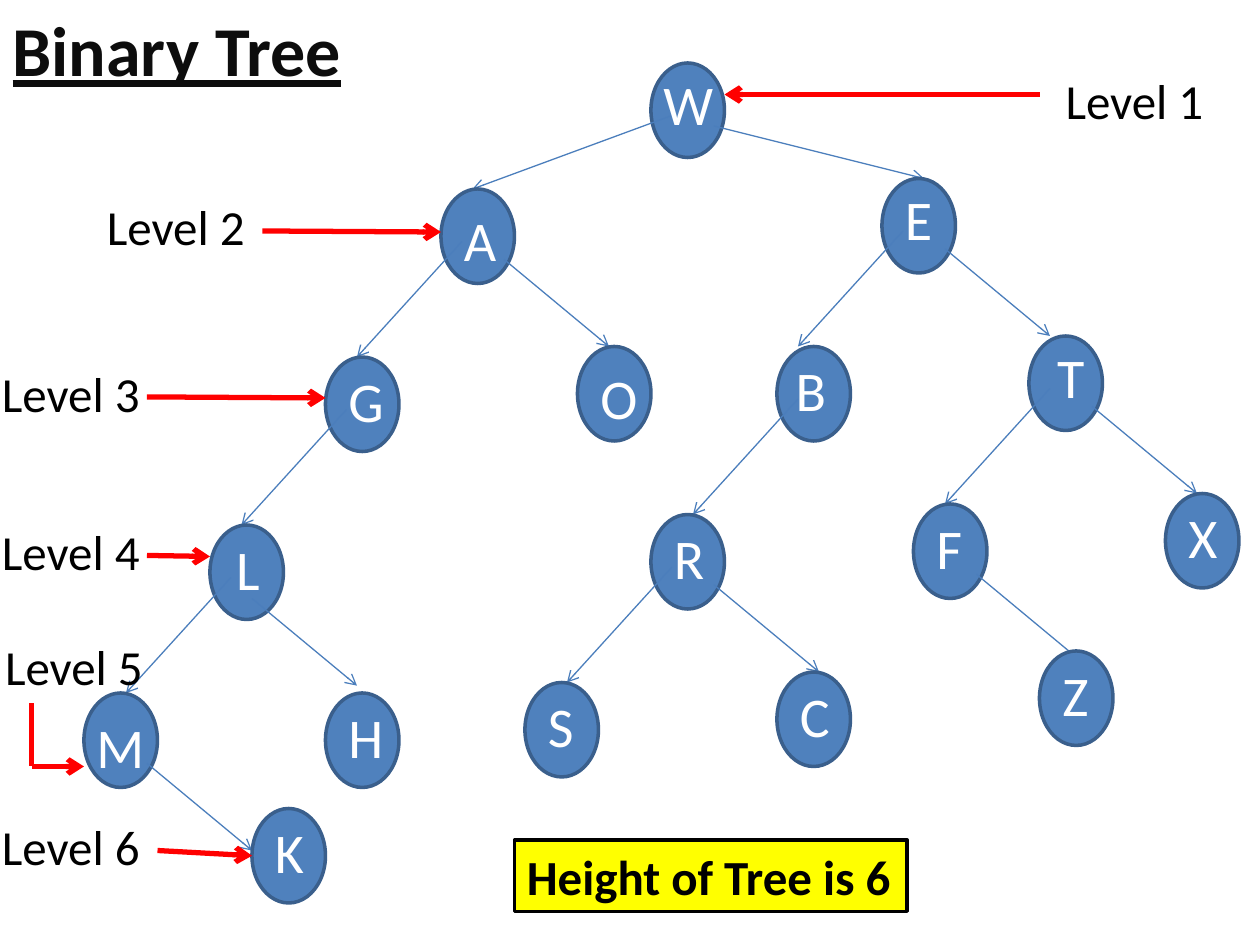
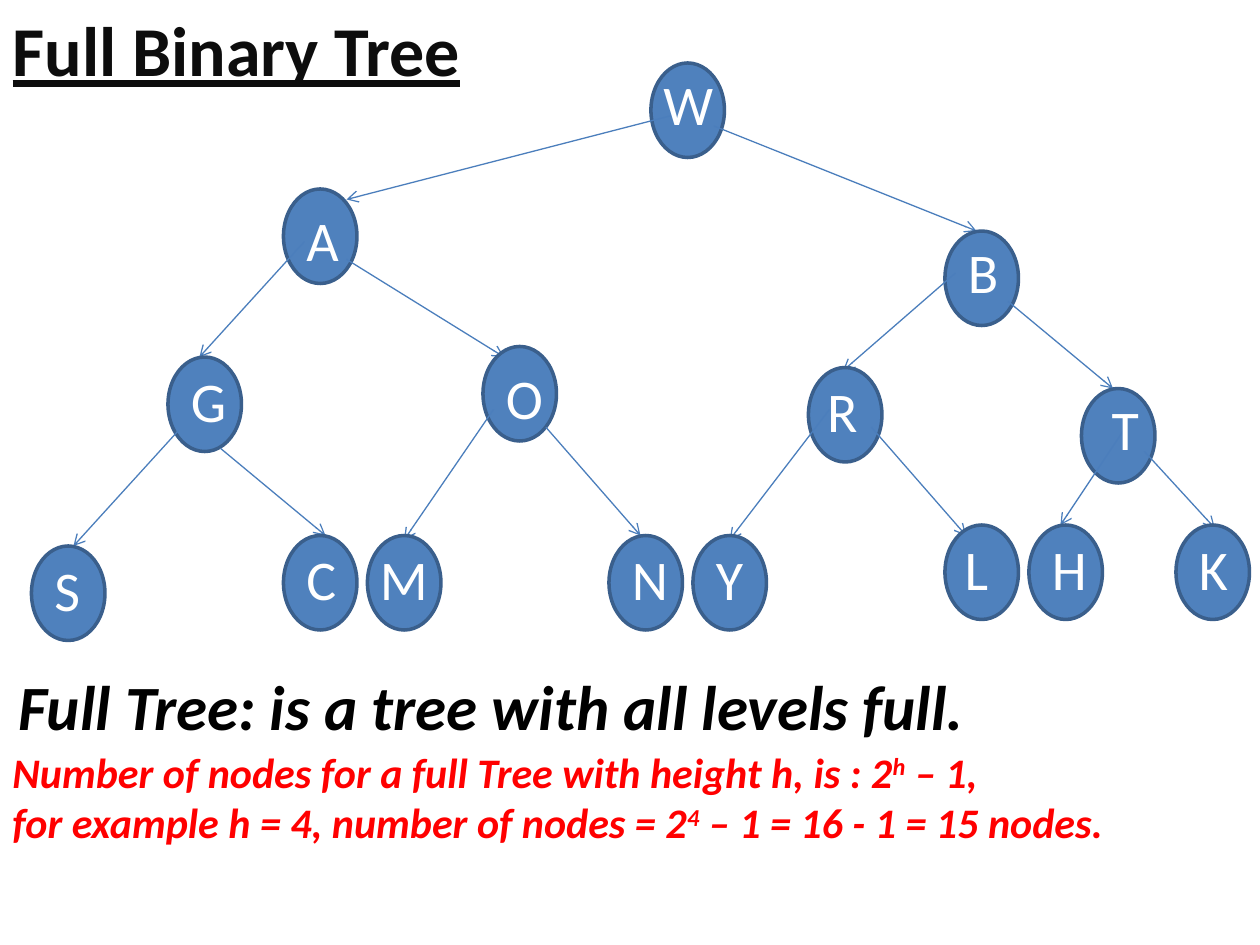
from pptx import Presentation, util as u
from pptx.dml.color import RGBColor
from pptx.enum import shapes, text
from pptx.oxml.ns import qn
from lxml import etree

BLUE = RGBColor(0x4F, 0x81, 0xBD)
EDGE = RGBColor(0x3A, 0x5F, 0x8C)
ARC = RGBColor(0x4B, 0x7E, 0xBC)
RED = RGBColor(0xFF, 0, 0)
GOLD = RGBColor(0xFF, 0xFF, 0)
WHITE = RGBColor(0xFF, 0xFF, 0xFF)
BLACK = RGBColor(0, 0, 0)
INK = RGBColor(0x0D, 0x0D, 0x0D)
FONT = "Calibri"

# The grid has 120 columns and 90 rows, twelve to the inch.
COLS = 120
NODE_W, NODE_H = 7, 9
LEFT, RIGHT = (2, 5), (6, 6.7)  # where arcs leave a node
SPOT = (1, 0.3)  # where a letter sits in its node
WIDE = {"W": 7.2, "M": 7.1, "O": 6, "G": 5.9, "N": 5.9, "H": 5.8, "A": 5.5,
        "B": 5.4, "R": 5.4, "L": 4.7, "S": 4.9, "F": 4.9, "Z": 4.9,
        "E": 5, "T": 5, "Y": 5}


def write(frame, words, size=28, color=BLACK, bold=None, italic=None,
          under=None, wrap=False):
    """Fill a frame, one paragraph a line; ^marks^ enclose superscripts."""
    frame.word_wrap = wrap
    frame.auto_size = text.MSO_AUTO_SIZE.SHAPE_TO_FIT_TEXT
    frame.vertical_anchor = text.MSO_ANCHOR.TOP
    for i, line in enumerate(words.split("\n")):
        para = frame.paragraphs[0] if i == 0 else frame.add_paragraph()
        para.alignment = text.PP_ALIGN.LEFT
        for j, part in enumerate(line.split("^")):
            run = para.add_run()
            run.text = part
            font = run.font
            font.name, font.size, font.color.rgb = FONT, u.Pt(size), color
            font.bold, font.italic, font.underline = bold, italic, under
            if j % 2:
                run._r.get_or_add_rPr().set("baseline", "30000")


class Deck:
    """The shared style and the slide being drawn."""

    def __init__(self):
        """Start a 10 by 7.5 inch deck."""
        self.prs = Presentation()
        self.prs.slide_width, self.prs.slide_height = u.Inches(10), u.Inches(7.5)
        self.unit = self.prs.slide_width / COLS
        self.slide = None

    def grid(self, *cells):
        """Turn columns or rows into lengths."""
        return [round(c * self.unit) for c in cells]

    def page(self, title, width):
        """Add a slide with its underlined title."""
        self.slide = self.prs.slides.add_slide(self.prs.slide_layouts[5])
        head = self.slide.shapes.title
        head.left, head.top, head.width, head.height = self.grid(0, 0, width, 9.3)
        write(head.text_frame, title, size=40, color=INK, bold=True,
              under=True, wrap=True)

    def label(self, words, x, y, w, h, **form):
        """Add a text box."""
        box = self.slide.shapes.add_textbox(*self.grid(x, y, w, h))
        write(box.text_frame, words, **form)

    def shape(self, kind, x, y, w, h, fill, line):
        """Add a filled shape with a 2 point outline."""
        item = self.slide.shapes.add_shape(kind, *self.grid(x, y, w, h))
        item.shadow.inherit = False
        item.fill.solid()
        item.fill.fore_color.rgb = fill
        item.line.color.rgb, item.line.width = line, u.Pt(2)
        return item

    def arrow(self, start, end, color=ARC, width=0.75, tip=True):
        """Draw a straight line, with an open arrowhead if tip is set."""
        item = self.slide.shapes.add_connector(
            shapes.MSO_CONNECTOR.STRAIGHT, *self.grid(*start, *end))
        item.line.color.rgb, item.line.width = color, u.Pt(width)
        if tip:
            etree.SubElement(item.line._get_or_add_ln(), qn("a:tailEnd"),
                             type="arrow")
        etree.SubElement(item._element.spPr, qn("a:effectLst"))

    def tree(self, nodes, arcs, spots):
        """Draw nodes top down, each with its arcs, then all letters."""
        for name, (x, y) in nodes.items():
            self.shape(shapes.MSO_SHAPE.OVAL, x, y, NODE_W, NODE_H, BLUE, EDGE)
            for head, child, out, into in arcs:
                if head == name:
                    cx, cy = nodes[child]
                    self.arrow((x + out[0], y + out[1]),
                               (cx + into[0], cy + into[1]))
        for name, (x, y) in nodes.items():
            dx, dy = spots.get(name, SPOT)
            self.label(name, x + dx, y + dy, WIDE.get(name, 5.3), 7.7,
                       size=32, color=WHITE)

    def level(self, rank, x, y, *points):
        """Name a level and point to it along a red path."""
        self.label(f"Level {rank}", x, y, 15.7, 6.8)
        for i, (a, b) in enumerate(zip(points, points[1:])):
            self.arrow(a, b, RED, 3, tip=i == len(points) - 2)


deck = Deck()

deck.page("Binary Tree", 40)
deck.tree(
    {"W": (62, 6), "A": (42, 18), "E": (84, 17), "G": (31, 34), "O": (55, 33),
     "B": (74, 33), "T": (98, 32), "L": (20, 50), "R": (62, 49), "F": (87, 48),
     "X": (111, 47), "M": (8, 66), "H": (31, 66), "S": (50, 65), "C": (74, 64),
     "Z": (99, 62), "K": (24, 77)},
    [("W", "A", LEFT, (3, 0)), ("W", "E", (6, 6), (4, 0)),
     ("A", "G", LEFT, (3, 0)), ("A", "O", RIGHT, (3, 0)),
     ("E", "B", LEFT, (2, 0)), ("E", "T", RIGHT, (2, 0)),
     ("G", "L", LEFT, (3, 0)), ("B", "R", LEFT, (4, 0)),
     ("T", "F", LEFT, (3, 0)), ("T", "X", RIGHT, (3, 0)),
     ("L", "M", LEFT, (4, 0)), ("L", "H", (4, 7), (3, -0.7)),
     ("R", "S", LEFT, (4, 0)), ("R", "C", RIGHT, (4, 0)),
     ("F", "Z", RIGHT, (4, 1)), ("M", "K", RIGHT, (0, 4))],
    {"W": (0, 0), "A": (1, 1), "E": (1, 0), "O": (1, 1), "B": (0.6, 0.3),
     "T": (1.5, 0), "L": (1.3, 0.3), "M": (0, 1.3)})
deck.level(1, 100.3, 6.1, (99, 9), (69, 9))
deck.level(2, 9, 18.1, (25, 22), (42, 22.1))
deck.level(3, -1, 34, (14, 37.8), (31, 37.9))
deck.level(4, -1, 49.1, (14, 52.9), (20, 53))
deck.level(5, -0.7, 60, (3, 67), (3, 73), (8, 73))
deck.level(6, -1, 77.2, (15, 81), (24, 81.5))
note = deck.shape(shapes.MSO_SHAPE.RECTANGLE, 49, 80, 37.4, 6.8, GOLD, BLACK)
write(note.text_frame, "Height of Tree is 6", bold=True)

deck.page("Full Binary Tree", 51)
deck.tree(
    {"W": (62, 6), "A": (27, 18), "B": (90, 22), "G": (16, 34), "O": (46, 33),
     "R": (77, 35), "T": (103, 37), "S": (3, 52), "C": (27, 51), "M": (35, 51),
     "N": (58, 51), "Y": (66, 51), "L": (90, 50), "H": (98, 50), "K": (112, 50)},
    [("W", "A", LEFT, (6, 1)), ("W", "B", (6, 6), (3, 0)),
     ("A", "G", LEFT, (3, 0)), ("A", "O", RIGHT, (2, 1)),
     ("B", "R", (1, 4), (3.3, 0.3)), ("B", "T", RIGHT, (3, 0)),
     ("G", "S", (1, 7), (4, 0)), ("G", "C", (5, 8.7), (4, 0)),
     ("O", "M", (1, 6), (3.5, 0.4)), ("O", "N", (6, 7.7), (3, 0)),
     ("R", "Y", (2, 4), (3.5, 0.4)), ("R", "L", (6, 5.7), (2, 1)),
     ("T", "H", (4, 4), (3, 0)), ("T", "K", (6, 6), (3.7, 0.3))],
    {"W": (0, 0), "A": (1, 1), "B": (1, 0), "O": (1, 1), "R": (0.6, 0.3),
     "T": (1.7, 0), "M": (0, 0.3), "L": (0.7, 0.3)})
deck.label("Full Tree: is a tree with all levels full.", 0.6, 63, 110.4, 8.5,
           size=36, bold=True, italic=True, wrap=True)
deck.label("Number of nodes for a full Tree with height h, is : 2^h^ – 1,\n"
           "for example h = 4, number of nodes = 2^4^ – 1 = 16 - 1 = 15 nodes.",
           0, 70.5, 117, 10.9, size=24, color=RED, bold=True, italic=True,
           wrap=True)

deck.prs.save("out.pptx")
